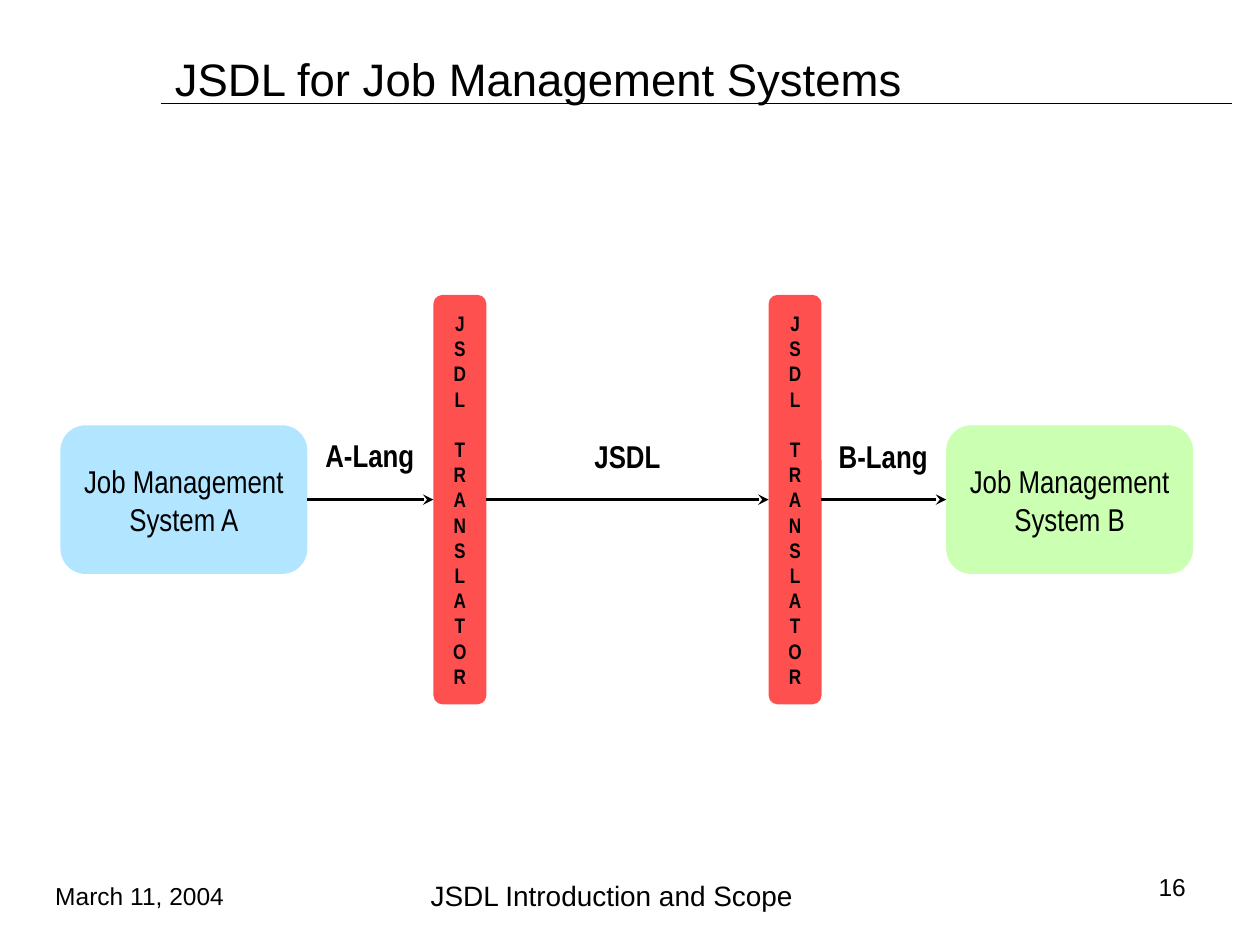
from dataclasses import dataclass

import pptx
import pptx.dml.color
import pptx.enum.shapes
import pptx.enum.text
import pptx.oxml.ns
import pptx.oxml.xmlchemy
import pptx.util
from pptx.util import Inches

COLOURS = {
    "ink": "000000",
    "system_a": "66CCFF",
    "system_b": "99FF66",
    "translator": "FF5050",
}
ALIGN = pptx.enum.text.PP_ALIGN
ANCHOR = pptx.enum.text.MSO_ANCHOR
FLOW_CENTRE = 3.965
TRANSLATOR_LETTERS = list("JSDLTRANSLATOR")
WORD_START = TRANSLATOR_LETTERS.index("T")


@dataclass
class TextStyle:
    size: float
    name: str = "Arial"
    bold: bool = False
    align: int = ALIGN.CENTER
    anchor: int = ANCHOR.MIDDLE
    wrap: bool = True


@dataclass
class Caption:
    text: str
    left: float
    top: float
    width: float
    height: float
    style: TextStyle


@dataclass
class Block:
    lines: list
    left: float
    width: float
    height: float
    colour: str
    style: TextStyle
    opacity: int = 100


SYSTEM = TextStyle(18, "Arial Narrow", wrap=False)
LETTER = TextStyle(12, "Arial Narrow", bold=True, wrap=False)
LABEL = TextStyle(18, "Arial Narrow", bold=True, anchor=ANCHOR.TOP, wrap=False)

CAPTIONS = [
    Caption("JSDL for Job Management Systems", 1.29, 0.33, 8.5, 0.58,
            TextStyle(26, align=ALIGN.LEFT)),
    Caption("JSDL", 4.61, 3.42, 0.74, 0.4, LABEL),
    Caption("A-Lang", 2.4, 3.41, 1.07, 0.4, LABEL),
    Caption("B-Lang", 6.48, 3.42, 1.06, 0.4, LABEL),
    Caption("JSDL Introduction and Scope", 3.04, 6.83, 3.63, 0.55, TextStyle(16)),
    Caption("16", 8.56, 6.92, 0.95, 0.24, TextStyle(14, align=ALIGN.RIGHT)),
    Caption("March 11, 2004", 0.34, 6.92, 1.76, 0.37,
            TextStyle(14, align=ALIGN.LEFT)),
]

BLOCKS = [
    Block(["Job Management", "System A"], 0.48, 1.96, 1.18, "system_a", SYSTEM, 50),
    Block(TRANSLATOR_LETTERS, 3.44, 0.42, 3.25, "translator", LETTER),
    Block(TRANSLATOR_LETTERS, 6.1, 0.42, 3.25, "translator", LETTER),
    Block(["Job Management", "System B"], 7.51, 1.96, 1.18, "system_b", SYSTEM, 50),
]


def rgb(key: str) -> pptx.dml.color.RGBColor:
    return pptx.dml.color.RGBColor.from_string(COLOURS[key])


def new_element(tag: str):
    return pptx.oxml.xmlchemy.OxmlElement(tag)


def write_lines(frame, lines: list, style: TextStyle) -> None:
    frame.word_wrap = style.wrap
    frame.vertical_anchor = style.anchor
    font_format = {
        "name": style.name,
        "size": pptx.util.Pt(style.size),
        "bold": style.bold,
    }
    for index, line in enumerate(lines):
        para = frame.paragraphs[0] if index == 0 else frame.add_paragraph()
        para.alignment = style.align
        span = para.add_run()
        span.text = line
        for attribute, value in font_format.items():
            setattr(span.font, attribute, value)
        span.font.color.rgb = rgb("ink")


def add_caption(page, caption: Caption) -> None:
    box = page.shapes.add_textbox(
        Inches(caption.left), Inches(caption.top),
        Inches(caption.width), Inches(caption.height))
    write_lines(box.text_frame, [caption.text], caption.style)


def add_block(page, block: Block):
    box = page.shapes.add_shape(
        pptx.enum.shapes.MSO_SHAPE.ROUNDED_RECTANGLE,
        Inches(block.left), Inches(FLOW_CENTRE - block.height / 2),
        Inches(block.width), Inches(block.height))
    box.adjustments[0] = 0.17
    box.shadow.inherit = False
    box.line.fill.background()
    box.fill.solid()
    box.fill.fore_color.rgb = rgb(block.colour)
    if block.opacity < 100:
        fill_colour = pptx.oxml.ns.qn("a:srgbClr")
        alpha = new_element("a:alpha")
        alpha.set("val", str(block.opacity * 1000))
        next(box._element.spPr.iter(fill_colour)).append(alpha)
    write_lines(box.text_frame, block.lines, block.style)
    if block.lines is TRANSLATOR_LETTERS:
        word_start = box.text_frame.paragraphs[WORD_START]
        word_start.space_before = pptx.util.Pt(14.4)
    return box


def add_line(page, left: float, right: float, height: float, weight: float):
    line = page.shapes.add_connector(
        pptx.enum.shapes.MSO_CONNECTOR.STRAIGHT,
        Inches(left), Inches(height), Inches(right), Inches(height))
    line.line.color.rgb = rgb("ink")
    line.line.width = pptx.util.Pt(weight)
    line._element.spPr.append(new_element("a:effectLst"))
    return line


def add_arrow(page, source, target) -> None:
    arrow = add_line(page, source.left.inches + source.width.inches,
                     target.left.inches, FLOW_CENTRE, 2)
    arrow.begin_connect(source, 3)
    arrow.end_connect(target, 1)
    head = new_element("a:tailEnd")
    head.set("type", "stealth")
    arrow._element.spPr.find(pptx.oxml.ns.qn("a:ln")).append(head)


def main() -> None:
    deck = pptx.Presentation()
    deck.slide_width = Inches(10)
    deck.slide_height = Inches(7.5)
    page = deck.slides.add_slide(deck.slide_layouts[6])

    add_line(page, 1.28, 9.78, 0.82, 0.75)
    boxes = [add_block(page, block) for block in BLOCKS]
    for source, target in zip(boxes, boxes[1:]):
        add_arrow(page, source, target)
    for caption in CAPTIONS:
        add_caption(page, caption)

    deck.save("out.pptx")


if __name__ == "__main__":
    main()
